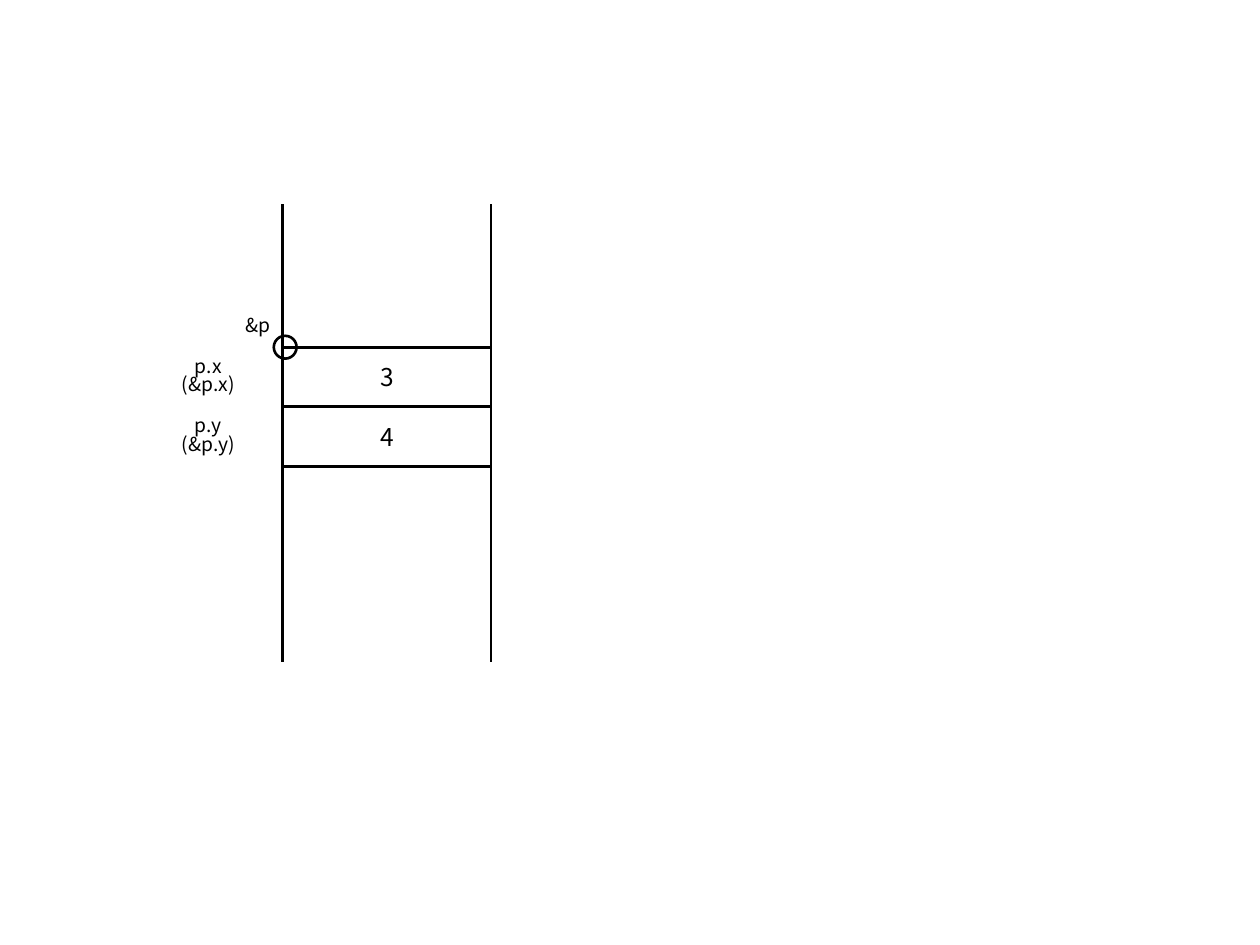
from lxml import etree
from pptx import Presentation
from pptx.dml.color import RGBColor
from pptx.enum import shapes, text
from pptx.oxml import ns
from pptx.util import Cm, Pt

BLACK = RGBColor(0, 0, 0)
FONT = "Noto Sans CJK KR"
LINE_WIDTH = Pt(1.5)


def write_text(shape, lines, size, alignment, frame_format, spacing=None):
    frame = shape.text_frame
    for name, value in frame_format.items():
        setattr(frame, name, value)
    frame.text = "\n".join(lines)
    for paragraph in frame.paragraphs:
        paragraph.alignment = alignment
        paragraph.line_spacing = spacing
        font_format = {"name": FONT, "size": Pt(size)}
        for name, value in font_format.items():
            setattr(paragraph.font, name, value)
        paragraph.font.color.rgb = BLACK


def add_outline(parent, kind, left, top, width, height):
    shape = parent.add_shape(kind, left, top, width, height)
    shape.shadow.inherit = False
    shape.fill.background()
    shape.line.color.rgb = BLACK
    shape.line.width = LINE_WIDTH
    return shape


def add_memory_walls(slide, left, top, width, height):
    for x in (left, left + width):
        wall = slide.shapes.add_connector(
            shapes.MSO_CONNECTOR.STRAIGHT, x, top, x, top + height)
        wall.line.color.rgb = BLACK
        wall.line.width = LINE_WIDTH
        etree.SubElement(wall.element.spPr, ns.qn("a:effectLst"))


def add_member_cell(slide, left, top, width, height, member, value):
    group = slide.shapes.add_group_shape()
    centred = {
        "word_wrap": True,
        "vertical_anchor": text.MSO_ANCHOR.MIDDLE,
        "margin_top": 0,
        "margin_bottom": 0,
    }
    # Cell with the stored value
    cell = add_outline(group.shapes, shapes.MSO_SHAPE.RECTANGLE,
                       left, top, width, height)
    write_text(cell, [value], 14, text.PP_ALIGN.CENTER, centred)
    # Member name and address, left of the cell
    label = group.shapes.add_textbox(
        left - Cm(2.8), top + Cm(0.13), Cm(2.6), height - Cm(0.26))
    write_text(label, [member, f"(&{member})"], 11,
               text.PP_ALIGN.CENTER, centred, spacing=0.8)


def add_address_marker(slide, left, top, label):
    # Ring around the corner where the struct begins
    size = Cm(0.46)
    add_outline(slide.shapes, shapes.MSO_SHAPE.OVAL,
                left - Cm(0.18), top - size / 2, size, size)
    # Address label
    box = slide.shapes.add_textbox(
        left - Cm(1), top - Cm(0.8), Cm(1.07), Cm(0.74))
    frame_format = {"word_wrap": False,
                    "auto_size": text.MSO_AUTO_SIZE.SHAPE_TO_FIT_TEXT}
    write_text(box, [label], 11, text.PP_ALIGN.LEFT, frame_format)


def add_memory_diagram(slide, left, top, width, height):
    add_memory_walls(slide, left, top, width, height)
    struct_top, cell_height = top + Cm(2.88), Cm(1.2)
    for index, (member, value) in enumerate((("p.x", "3"), ("p.y", "4"))):
        add_member_cell(slide, left, struct_top + index * cell_height,
                        width, cell_height, member, value)
    add_address_marker(slide, left, struct_top, "&p")


def main():
    presentation = Presentation()
    presentation.slide_width = Cm(25.4)
    presentation.slide_height = Cm(19.05)
    slide = presentation.slides.add_slide(presentation.slide_layouts[6])
    add_memory_diagram(slide, Cm(5.7), Cm(4.12), Cm(4.2), Cm(9.22))
    presentation.save("out.pptx")


if __name__ == "__main__":
    main()
